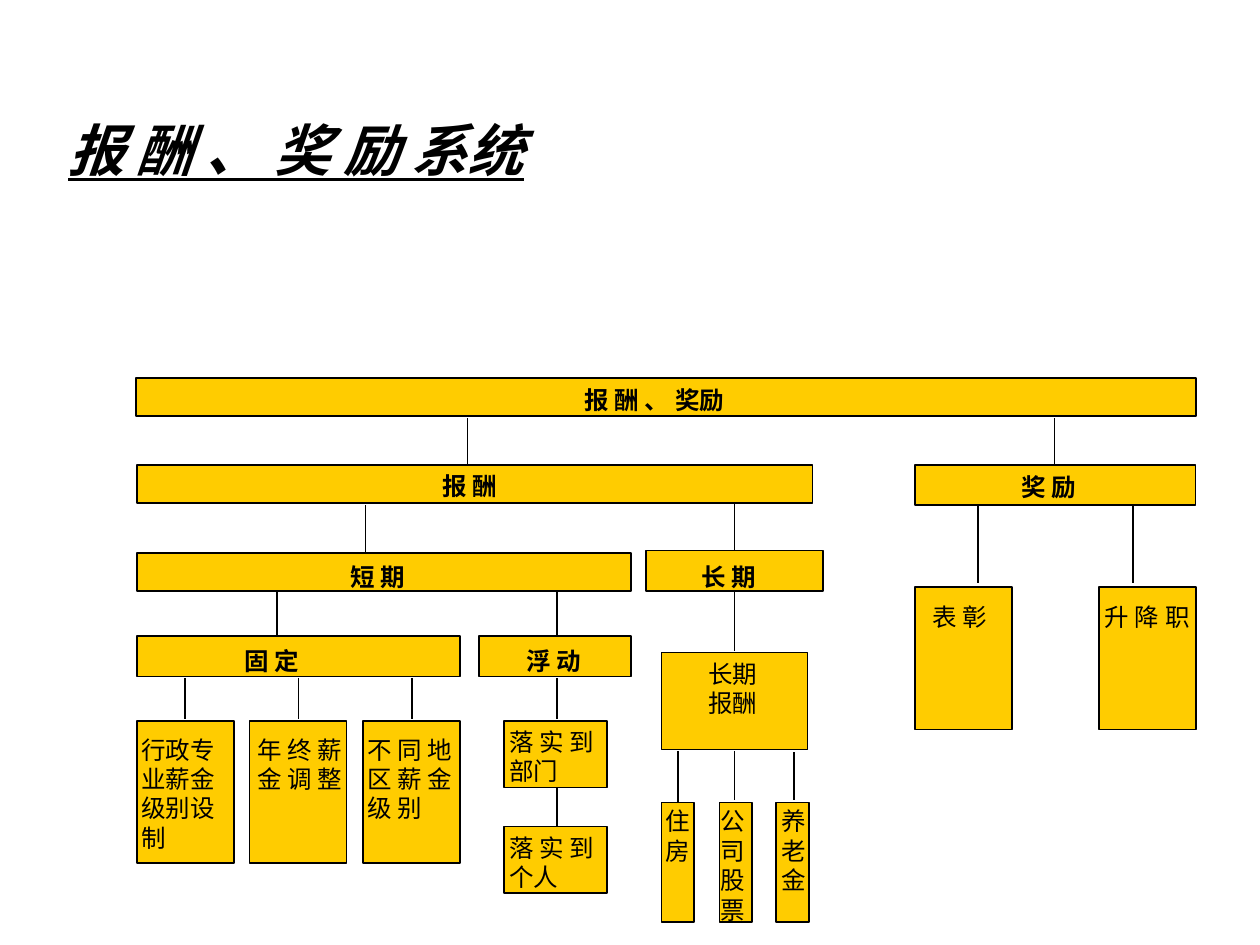
import dataclasses

import lxml.etree
import pptx
import pptx.dml.color
import pptx.enum.shapes
import pptx.enum.text
import pptx.oxml.ns
import pptx.util

Inches = pptx.util.Inches
Pt = pptx.util.Pt


@dataclasses.dataclass(frozen=True)
class Theme:
    box_fill: str = "FFCC00"
    ink: str = "000000"
    title_font: str = "Montserrat"
    body_font: str = "Noto Sans CJK SC"
    title_size: int = 32
    body_size: int = 14
    line_width: int = 1


class ChartSlide:
    def __init__(self, presentation, theme):
        self.theme = theme
        self.slide = presentation.slides.add_slide(presentation.slide_layouts[5])

    def color(self, value):
        return pptx.dml.color.RGBColor.from_string(value)

    def format_font(self, paragraph, name, size, bold):
        for run in paragraph.runs:
            run.font.name = name
            run.font.size = Pt(size)
            run.font.bold = bold
            run.font.color.rgb = self.color(self.theme.ink)

    def title(self, text, left, top, width, height):
        shape = self.slide.shapes.title
        shape.left, shape.top = Inches(left), Inches(top)
        shape.width, shape.height = Inches(width), Inches(height)
        frame = shape.text_frame
        frame.text = text
        frame.vertical_anchor = pptx.enum.text.MSO_ANCHOR.BOTTOM
        paragraph = frame.paragraphs[0]
        paragraph.alignment = pptx.enum.text.PP_ALIGN.LEFT
        self.format_font(paragraph, self.theme.title_font, self.theme.title_size, True)
        for run in paragraph.runs:
            run.font.italic = True
            run.font.underline = True

    def box(self, left, top, width, height):
        shape = self.slide.shapes.add_shape(
            pptx.enum.shapes.MSO_SHAPE.RECTANGLE,
            Inches(left), Inches(top), Inches(width), Inches(height))
        shape.shadow.inherit = False
        shape.fill.solid()
        shape.fill.fore_color.rgb = self.color(self.theme.box_fill)
        shape.line.color.rgb = self.color(self.theme.ink)
        shape.line.width = Pt(self.theme.line_width)

    def label(self, text, left, top, width, height, bold=False):
        shape = self.slide.shapes.add_textbox(
            Inches(left), Inches(top), Inches(width), Inches(height))
        frame = shape.text_frame
        frame.margin_left = frame.margin_right = 0
        frame.margin_top = frame.margin_bottom = 0
        frame.word_wrap = True
        frame.text = text
        self.format_font(frame.paragraphs[0], self.theme.body_font,
                         self.theme.body_size, bold)

    def vertical_line(self, x, top, bottom):
        connector = self.slide.shapes.add_connector(
            pptx.enum.shapes.MSO_CONNECTOR.STRAIGHT,
            Inches(x), Inches(top), Inches(x), Inches(bottom))
        connector.line.color.rgb = self.color(self.theme.ink)
        connector.line.width = Pt(self.theme.line_width)
        lxml.etree.SubElement(connector._element.spPr,
                              pptx.oxml.ns.qn("a:effectLst"))


# Each line: x, top, bottom
LINES = [
    (3.71, 3.32, 3.69), (8.37, 3.32, 3.69),
    (2.9, 4.01, 4.38), (5.83, 4, 5.17),
    (7.76, 4.01, 4.63), (8.99, 4.01, 4.63),
    (2.2, 4.69, 5.04), (4.42, 4.7, 5.04),
    (1.47, 5.38, 5.71), (2.37, 5.38, 5.71), (3.27, 5.38, 5.71),
    (4.42, 5.38, 5.71), (4.42, 6.22, 6.56),
    (5.38, 5.96, 6.37), (5.83, 5.96, 6.35), (6.3, 5.97, 6.35),
]

# Each entry: text, box (left, top, width, height), label (left, top, width, height)
HEADINGS = [
    ("报 酬 、 奖励", (1.08, 3, 8.41, 0.3), (4.64, 3.06, 1.31, 0.23)),
    ("报 酬", (1.09, 3.69, 5.36, 0.3), (3.51, 3.74, 0.53, 0.23)),
    ("奖 励", (7.26, 3.69, 2.23, 0.32), (8.11, 3.75, 0.53, 0.23)),
    ("短 期", (1.09, 4.39, 3.92, 0.3), (2.78, 4.46, 0.53, 0.23)),
    ("长 期", (5.13, 4.37, 1.4, 0.32), (5.57, 4.46, 0.53, 0.23)),
    ("固 定", (1.09, 5.05, 2.56, 0.32), (1.94, 5.13, 0.53, 0.23)),
    ("浮 动", (3.8, 5.05, 1.21, 0.32), (4.18, 5.13, 0.53, 0.23)),
]
DETAILS = [
    ("表 彰", (7.26, 4.66, 0.77, 1.13), (7.4, 4.78, 0.51, 0.47)),
    ("升 降 职", (8.72, 4.66, 0.77, 1.13), (8.77, 4.78, 0.76, 0.23)),
    ("行政专 业薪金级别设 制", (1.09, 5.72, 0.77, 1.13), (1.12, 5.83, 0.77, 0.93)),
    ("年 终 薪 金 调 整", (1.98, 5.72, 0.77, 1.13), (2.04, 5.83, 0.72, 0.47)),
    ("不 同 地 区 薪 金 级 别", (2.88, 5.72, 0.77, 1.13), (2.92, 5.83, 0.72, 0.7)),
    ("落 实 到 部门", (4, 5.72, 0.82, 0.53), (4.04, 5.77, 0.74, 0.47)),
    ("落 实 到 个人", (4, 6.56, 0.82, 0.53), (4.04, 6.61, 0.74, 0.47)),
    ("长期 \v报酬", (5.25, 5.18, 1.16, 0.77), (5.62, 5.23, 0.47, 0.7)),
    ("住 房", (5.25, 6.37, 0.26, 0.95), (5.28, 6.4, 0.21, 0.7)),
    ("公 司 股 票", (5.71, 6.37, 0.26, 0.95), (5.72, 6.4, 0.21, 1.4)),
    ("养老金", (6.16, 6.37, 0.26, 0.95), (6.2, 6.4, 0.21, 1.17)),
]


def main():
    presentation = pptx.Presentation()
    presentation.slide_width = Inches(10)
    presentation.slide_height = Inches(7.5)
    chart = ChartSlide(presentation, Theme())
    chart.title("报 酬 、 奖 励 系统", 0.44, 0.25, 8.5, 1.25)
    for line in LINES:
        chart.vertical_line(*line)
    for entries, bold in ((HEADINGS, True), (DETAILS, False)):
        for text, box, label in entries:
            chart.box(*box)
            chart.label(text, *label, bold=bold)
    presentation.save("out.pptx")


if __name__ == "__main__":
    main()
